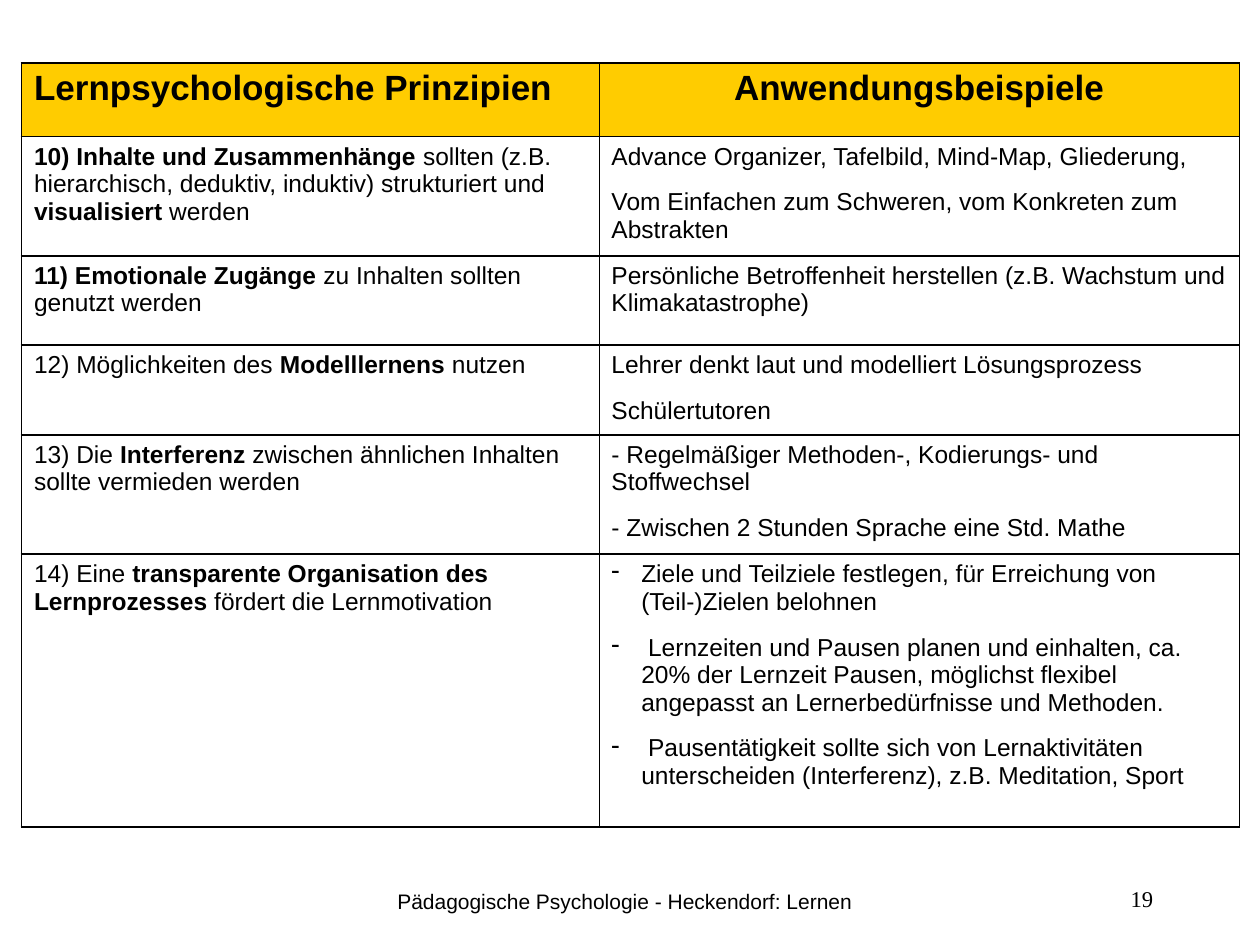
"""Builds a table slide of learning principles and their classroom applications."""
import pptx
import pptx.dml.color
import pptx.enum.text
import pptx.oxml
import pptx.oxml.ns
import pptx.util

Pt = pptx.util.Pt
Align = pptx.enum.text.PP_ALIGN
RGB = pptx.dml.color.RGBColor.from_string

theme = {
    "ink": "000000", "header": "FFCC00",
    "sans": "Arial", "serif": "Times New Roman",
    "title": 20, "body": 14, "footer": 12, "number": 12.9,
    "outer": 1.08, "inner": 0.45,
}


def write(para, text, size, font, bold=False):
    for index, part in enumerate(text.split("**")):
        if part:
            span = para.add_run()
            span.text = part
            span.font.color.rgb = RGB(theme["ink"])
            look = {"name": font, "size": Pt(size), "bold": bold or index % 2 == 1}
            for name, value in look.items():
                setattr(span.font, name, value)


def add_element(parent, xml):
    namespace = pptx.oxml.ns.nsdecls("a")
    parent.append(pptx.oxml.parse_xml(xml.replace(" ", f" {namespace} ", 1)))


deck = pptx.Presentation()
deck.slide_width, deck.slide_height = Pt(720), Pt(540)
page = deck.slides.add_slide(deck.slide_layouts[6])

footers = [
    (198, 318.24, "Pädagogische Psychologie - Heckendorf: Lernen", "footer", "sans",
     {"alignment": Align.CENTER}),
    (516.24, 149.76, "19", "number", "serif",
     {"alignment": Align.RIGHT, "line_spacing": 0.9}),
]
for left, width, text, size, font, layout in footers:
    box = page.shapes.add_textbox(Pt(left), Pt(504), Pt(width), Pt(24))
    box.text_frame.word_wrap = True
    para = box.text_frame.paragraphs[0]
    for name, value in layout.items():
        setattr(para, name, value)
    write(para, text, theme[size], theme[font])

rows = [
    (42, "Lernpsychologische Prinzipien", ["Anwendungsbeispiele"]),
    (68, "**10) Inhalte und Zusammenhänge** sollten (z.B. hierarchisch, deduktiv, "
         "induktiv) strukturiert und **visualisiert** werden",
     ["Advance Organizer, Tafelbild, Mind-Map, Gliederung,",
      "Vom Einfachen zum Schweren, vom Konkreten zum Abstrakten"]),
    (51, "**11) Emotionale Zugänge** zu Inhalten sollten genutzt werden",
     ["Persönliche Betroffenheit herstellen (z.B. Wachstum und Klimakatastrophe)"]),
    (51, "12) Möglichkeiten des **Modelllernens** nutzen",
     ["Lehrer denkt laut und modelliert Lösungsprozess", "Schülertutoren"]),
    (68, "13) Die **Interferenz** zwischen ähnlichen Inhalten sollte vermieden werden",
     ["- Regelmäßiger Methoden-, Kodierungs- und Stoffwechsel",
      "- Zwischen 2 Stunden Sprache eine Std. Mathe"]),
    (156, "14) Eine **transparente Organisation des Lernprozesses** fördert die "
          "Lernmotivation",
     ["Ziele und Teilziele festlegen, für Erreichung von (Teil-)Zielen belohnen",
      " Lernzeiten und Pausen planen und einhalten, ca. 20% der Lernzeit Pausen, "
      "möglichst flexibel angepasst an Lernerbedürfnisse und Methoden.",
      " Pausentätigkeit sollte sich von Lernaktivitäten unterscheiden "
      "(Interferenz), z.B. Meditation, Sport"]),
]
columns = [330, 366]
height = sum(row[0] for row in rows)
table = page.shapes.add_table(
    len(rows), len(columns), Pt(12.24), Pt(36), Pt(sum(columns)), Pt(height)).table
table.first_row = table.horz_banding = False
for column, width in zip(table.columns, columns):
    column.width = Pt(width)

for row_index, (row_height, principle, examples) in enumerate(rows):
    table.rows[row_index].height = Pt(row_height)
    is_header = row_index == 0
    for column_index, texts in enumerate([[principle], examples]):
        cell = table.cell(row_index, column_index)
        inner_side = "R" if column_index == 0 else "L"
        for side in "LRTB":
            weight = theme["inner" if side == inner_side else "outer"]
            add_element(
                cell._tc.get_or_add_tcPr(),
                f'<a:ln{side} w="{Pt(weight)}"><a:solidFill>'
                f'<a:srgbClr val="{theme["ink"]}"/></a:solidFill></a:ln{side}>')
        if is_header:
            cell.fill.solid()
            cell.fill.fore_color.rgb = RGB(theme["header"])
        else:
            cell.fill.background()
        for index, text in enumerate(texts):
            para = cell.text_frame.paragraphs[0] if index == 0 else cell.text_frame.add_paragraph()
            if row_index == len(rows) - 1 and column_index == 1:
                properties = para._p.get_or_add_pPr()
                properties.set("marL", str(Pt(17)))
                properties.set("indent", str(Pt(-17)))
                add_element(properties, '<a:buChar char="-"/>')
            layout = {
                "alignment": Align.CENTER if is_header and column_index else Align.LEFT,
                "space_before": Pt(7 if index else 0),
                "space_after": Pt(3.5),
            }
            for name, value in layout.items():
                setattr(para, name, value)
            write(para, text, theme["title" if is_header else "body"], theme["sans"], is_header)

deck.save("out.pptx")
